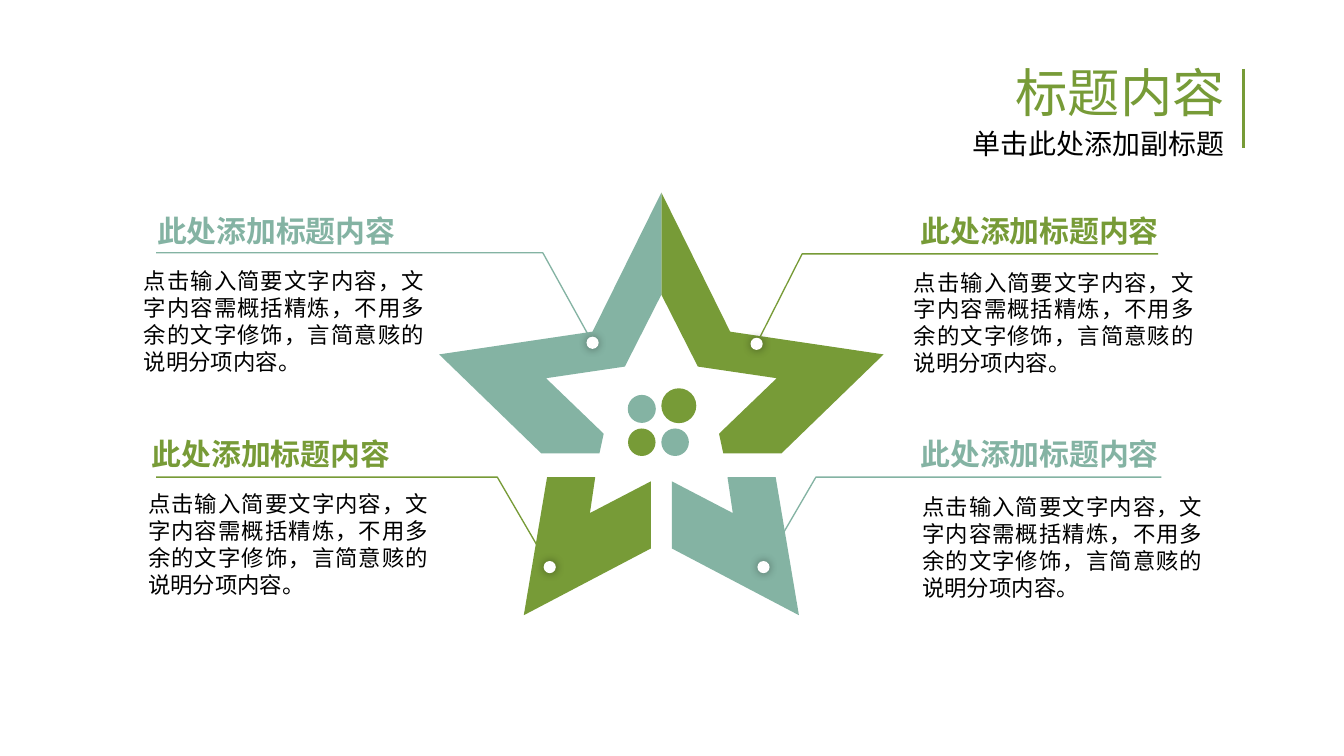
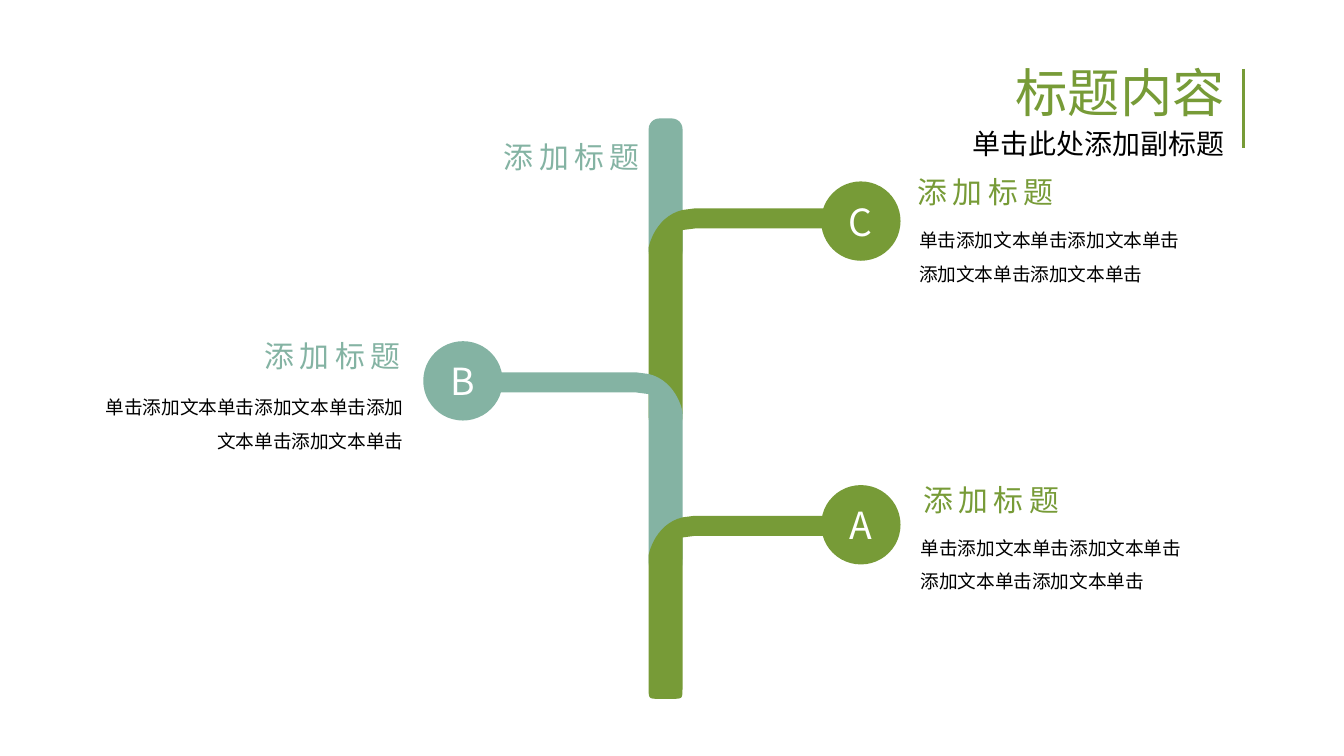
"""Build two slides: a four-part star with callouts and a three-branch timeline."""
from lxml.etree import SubElement
from pptx import Presentation
from pptx.dml.color import RGBColor
from pptx.enum.shapes import MSO_CONNECTOR, MSO_SHAPE
from pptx.enum.text import MSO_ANCHOR, MSO_AUTO_SIZE as FIT, PP_ALIGN as ALIGN
from pptx.oxml.ns import qn
from pptx.util import Cm, Pt

COLORS = {"green": "779B37", "teal": "84B3A3", "black": "000000", "white": "FFFFFF"}
FONT = "Noto Sans CJK SC"
PLAIN_TITLE = "标题内容"
SUBTITLE = "单击此处添加副标题"

STYLES = {
    "title": dict(size=28, color="green", align=ALIGN.RIGHT, spacing=0.9),
    "subtitle": dict(size=15, color="black", align=ALIGN.RIGHT, spacing=0.9),
    "callout": dict(size=16, bold=True, spacing=1.5, fit=FIT.SHAPE_TO_FIT_TEXT),
    "detail": dict(size=12, color="black", align=ALIGN.JUSTIFY, insets=(0.18, 0.1),
                   fit=FIT.SHAPE_TO_FIT_TEXT),
    "label": dict(size=16, track=3, wrap=False, fit=FIT.SHAPE_TO_FIT_TEXT),
    "note": dict(size=10, color="black", spacing=1.5, fit=FIT.SHAPE_TO_FIT_TEXT),
    "letter": dict(size=20, color="white", align=ALIGN.CENTER, wrap=False,
                   anchor=MSO_ANCHOR.MIDDLE, insets=(0, 0)),
}

CALLOUT = "此处添加标题内容"
DETAIL = "点击输入简要文字内容，文字内容需概括精炼，不用多余的文字修饰，言简意赅的说明分项内容。"
STAR_AXIS = 12.5
STAR_ARM = [(1.3, 6.27), (0, 3.64), (0, 5.57), (0.69, 6.93), (2.18, 7.15),
            (1.09, 8.2), (1.17, 8.57), (2.27, 8.57), (4.2, 6.7)]
STAR_LEG = [(0.2, 9.1), (0.2, 10.37), (2.6, 11.63), (2.16, 9.02), (1.25, 9.02), (1.35, 9.7)]
STAR_PARTS = [(STAR_LEG, 1, "teal"), (STAR_LEG, -1, "green"),
              (STAR_ARM, 1, "green"), (STAR_ARM, -1, "teal")]
CORE_DOTS = [(12.13, 7.73, 0.53, "teal"), (12.83, 7.67, 0.66, "green"),
             (12.13, 8.36, 0.52, "green"), (12.76, 8.36, 0.52, "teal")]
PIN_SIZE = 0.23
CALLOUTS = [
    dict(color="teal", leader=[(11.2, 6.48), (10.26, 4.78), (2.95, 4.78)],
         heading=(2.72, 3.56, 5.49, 1.17), detail=(2.54, 4.95, 5.66, 2.24)),
    dict(color="green", leader=[(14.3, 6.5), (15.16, 4.8), (21.89, 4.8)],
         heading=(17.15, 3.56, 5.23, 1.17), detail=(17.09, 4.98, 5.66, 2.24)),
    dict(color="teal", leader=[(14.43, 10.72), (15.42, 9.02), (21.95, 9.02)],
         heading=(17.15, 7.77, 5.23, 1.17), detail=(17.25, 9.22, 5.66, 2.24)),
    dict(color="green", leader=[(10.39, 10.72), (9.4, 9.02), (2.95, 9.02)],
         heading=(2.62, 7.77, 5.49, 1.17), detail=(2.62, 9.17, 5.66, 2.24)),
]

LABEL = "添加标题"
NOTE = "单击添加文本单击添加文本单击添加文本单击添加文本单击"
STEM_AXIS, STEM_HALF, STEM_ROUND = 12.58, 0.32, 0.2
STEM_TOP, STEM_END = 2.24, 4.95
BRANCH_REACH, BRANCH_WIDTH, BADGE_SIZE = 3.75, 0.38, 1.5
TOP_LABEL = (9.19, 2.49, 3.23, 0.94)
BRANCHES = [
    dict(letter="C", color="green", side=1, top=3.94, foot=8, badge=(16.27, 4.18),
         label=(17.09, 3.15, 3.23, 0.94), label_align=ALIGN.LEFT,
         note=(17.12, 3.99, 5.49, 1.47), note_align=ALIGN.LEFT),
    dict(letter="B", color="teal", side=-1, top=7.04, foot=10.75, badge=(8.75, 7.2),
         label=(4.67, 6.25, 3.23, 0.94), label_align=ALIGN.CENTER,
         note=(1.7, 7.14, 6.17, 1.47), note_align=ALIGN.RIGHT),
    dict(letter="A", color="green", side=1, top=9.75, foot=13.21, badge=(16.27, 9.92),
         label=(17.12, 8.97, 3.23, 0.94), label_align=ALIGN.CENTER,
         note=(17.15, 9.8, 5.49, 1.47), note_align=ALIGN.LEFT),
]


def rgb(color):
    return RGBColor.from_string(COLORS[color])


def write(shape, text, style, **changes):
    look = {**STYLES[style], **changes}
    frame = shape.text_frame
    side, edge = look.get("insets", (0.25, 0.13))
    layout = dict(word_wrap=look.get("wrap", True), auto_size=look.get("fit", FIT.NONE),
                  vertical_anchor=look.get("anchor", MSO_ANCHOR.TOP),
                  margin_left=Cm(side), margin_right=Cm(side),
                  margin_top=Cm(edge), margin_bottom=Cm(edge))
    for name, value in layout.items():
        setattr(frame, name, value)
    paragraph = frame.paragraphs[0]
    paragraph.alignment = look.get("align", ALIGN.LEFT)
    paragraph.line_spacing = look.get("spacing", 1.0)
    run = paragraph.add_run()
    run.text = text
    for name, value in dict(size=Pt(look["size"]), bold=look.get("bold", False), name=FONT).items():
        setattr(run.font, name, value)
    run.font.color.rgb = rgb(look["color"])
    properties = run._r.get_or_add_rPr()
    SubElement(properties, qn("a:ea")).set("typeface", FONT)
    if "track" in look:
        properties.set("spc", str(look["track"] * 100))


def add_text(slide, box, text, style, **changes):
    write(slide.shapes.add_textbox(*map(Cm, box)), text, style, **changes)


def paint(shape, color):
    shape.shadow.inherit = False
    shape.fill.solid()
    shape.fill.fore_color.rgb = rgb(color)
    shape.line.fill.background()
    return shape


def add_disc(slide, x, y, size, color):
    disc = slide.shapes.add_shape(
        MSO_SHAPE.OVAL, Cm(x - size / 2), Cm(y - size / 2), Cm(size), Cm(size))
    return paint(disc, color)


def add_outline(slide, points, close=True):
    start, *rest = [(Cm(x), Cm(y)) for x, y in points]
    builder = slide.shapes.build_freeform(*start)
    builder.add_line_segments(rest, close=close)
    return builder.convert_to_shape()


def curve(start, pull, push, end, steps=12):
    points = []
    for step in range(steps + 1):
        t = step / steps
        weights = (1 - t) ** 3, 3 * t * (1 - t) ** 2, 3 * t * t * (1 - t), t ** 3
        points.append(tuple(sum(w * p[axis] for w, p in zip(weights, (start, pull, push, end)))
                            for axis in (0, 1)))
    return points


def add_slide(deck):
    slide = deck.slides.add_slide(deck.slide_layouts[5])
    title = slide.shapes.title
    for name, value in dict(left=13.69, top=1.14, width=9.7, height=1.27).items():
        setattr(title, name, Cm(value))
    write(title, PLAIN_TITLE, "title")
    add_text(slide, (13.69, 2.34, 9.7, 1.02), SUBTITLE, "subtitle")
    rule = slide.shapes.add_connector(
        MSO_CONNECTOR.STRAIGHT, Cm(23.5), Cm(1.3), Cm(23.5), Cm(2.79))
    rule.line.color.rgb = rgb("green")
    rule.line.width = Pt(1.5)
    SubElement(rule._element.spPr, qn("a:effectLst"))
    return slide


def add_leader(slide, points, color):
    leader = add_outline(slide, points, close=False)
    leader.shadow.inherit = False
    leader.fill.background()
    leader.line.color.rgb = rgb(color)
    leader.line.width = Pt(0.7)
    SubElement(leader.line._get_or_add_ln(), qn("a:headEnd")).set("type", "oval")
    pin = add_disc(slide, *points[0], PIN_SIZE, "white")
    effects = pin._element.spPr.find(qn("a:effectLst"))
    glow = SubElement(effects, qn("a:outerShdw"), blurRad=str(Pt(5)), dist="0", dir="0")
    tint = SubElement(glow, qn("a:srgbClr"), val=COLORS["black"])
    SubElement(tint, qn("a:alpha"), val="40000")


def star_slide(deck):
    slide = add_slide(deck)
    for part, side, color in STAR_PARTS:
        paint(add_outline(slide, [(STAR_AXIS + side * x, y) for x, y in part]), color)
    for dot in CORE_DOTS:
        add_disc(slide, *dot)
    for callout in CALLOUTS:
        add_text(slide, callout["heading"], CALLOUT, "callout", color=callout["color"])
        add_leader(slide, callout["leader"], callout["color"])
        add_text(slide, callout["detail"], DETAIL, "detail")


def branch_points(side, top, foot):
    half, corner, depth = STEM_HALF, STEM_ROUND, foot - top
    shoulder = curve((half, 0.03), (-0.09, 0.13), (-0.27, 0.51), (-half, 0.74))
    near = curve((-half, depth - corner), (-half, depth), (-half, depth), (corner - half, depth))
    far = [(-x, y) for x, y in reversed(near)]
    arm = [(half, 0.41), (0.55, BRANCH_WIDTH), (BRANCH_REACH, BRANCH_WIDTH)]
    outline = [(BRANCH_REACH, 0), (0.55, 0), *shoulder, *near, *far, *arm]
    return [(STEM_AXIS + side * x, top + y) for x, y in outline]


def timeline_slide(deck):
    slide = add_slide(deck)
    stem = slide.shapes.add_shape(
        MSO_SHAPE.ROUNDED_RECTANGLE, Cm(STEM_AXIS - STEM_HALF), Cm(STEM_TOP),
        Cm(2 * STEM_HALF), Cm(STEM_END - STEM_TOP))
    stem.adjustments[0] = STEM_ROUND / (2 * STEM_HALF)
    paint(stem, "teal")
    for branch in BRANCHES:
        color = branch["color"]
        points = branch_points(branch["side"], branch["top"], branch["foot"])
        paint(add_outline(slide, points), color)
        badge = add_disc(slide, *branch["badge"], BADGE_SIZE, color)
        write(badge, branch["letter"], "letter")
        add_text(slide, branch["label"], LABEL, "label", color=color, align=branch["label_align"])
        add_text(slide, branch["note"], NOTE, "note", align=branch["note_align"])
    add_text(slide, TOP_LABEL, LABEL, "label", color="teal", align=ALIGN.CENTER)


def main():
    deck = Presentation()
    deck.slide_width, deck.slide_height = Cm(25.4), Cm(14.29)
    star_slide(deck)
    timeline_slide(deck)
    deck.save("out.pptx")


if __name__ == "__main__":
    main()
